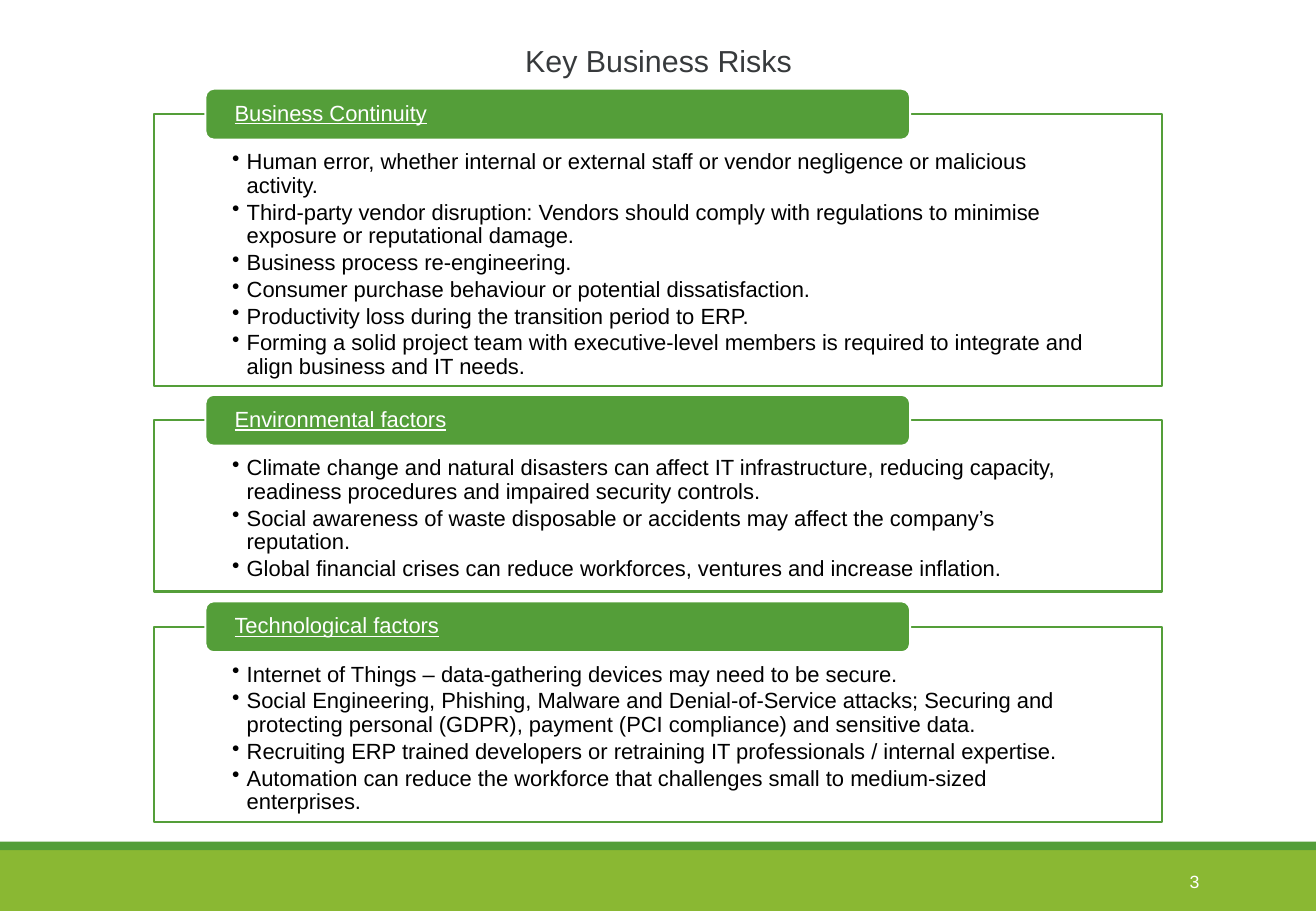
"""Build the Key Business Risks slide."""
from dataclasses import dataclass

from lxml import etree
from pptx import Presentation
from pptx.dml.color import RGBColor
from pptx.enum import shapes, text
from pptx.oxml import ns
from pptx.util import Inches, Pt


@dataclass(frozen=True)
class Theme:
    font: str = "Arial"
    green: str = "549E39"
    lime: str = "8AB833"
    white: str = "FFFFFF"
    black: str = "000000"
    grey: str = "373A3C"
    title: float = 18
    body: float = 13
    number: float = 10.5
    line: float = 1.25


T = Theme()
SHAPE = shapes.MSO_SHAPE
ALIGN = text.PP_ALIGN
ANCHOR = text.MSO_ANCHOR

RISKS = [
    (0.94, 2.24, "Business Continuity", [
        "Human error, whether internal or external staff or vendor negligence or malicious activity.",
        "Third-party vendor disruption: Vendors should comply with regulations to minimise "
        "exposure or reputational damage.",
        "Business process re-engineering.",
        "Consumer purchase behaviour or potential dissatisfaction.",
        "Productivity loss during the transition period to ERP.",
        "Forming a solid project team with executive-level members is required to integrate "
        "and align business and IT needs.",
    ]),
    (3.46, 1.41, "Environmental factors", [
        "Climate change and natural disasters can affect IT infrastructure, reducing capacity, "
        "readiness procedures and impaired security controls.",
        "Social awareness of waste disposable or accidents may affect the company’s reputation.",
        "Global financial crises can reduce workforces, ventures and increase inflation.",
    ]),
    (5.16, 1.61, "Technological factors", [
        "Internet of Things – data-gathering devices may need to be secure.",
        "Social Engineering, Phishing, Malware and Denial-of-Service attacks; Securing and "
        "protecting personal (GDPR), payment (PCI compliance) and sensitive data.",
        "Recruiting ERP trained developers or retraining IT professionals / internal expertise.",
        "Automation can reduce the workforce that challenges small to medium-sized enterprises.",
    ]),
]


def add_bullet(p):
    pPr = p._p.get_or_add_pPr()
    pPr.set("marL", str(Inches(0.12)))
    pPr.set("indent", str(-Inches(0.12)))
    etree.SubElement(pPr, ns.qn("a:buChar")).set("char", "•")


def write(sp, lines, size=T.body, color=T.black, align=ALIGN.LEFT, anchor=ANCHOR.MIDDLE,
          insets=(0.1, 0.05, 0.1, 0.05), underline=None, bullets=False, spacing=None, after=None):
    tf = sp.text_frame
    tf.word_wrap = True
    tf.auto_size = text.MSO_AUTO_SIZE.NONE
    tf.vertical_anchor = anchor
    tf.margin_left, tf.margin_top, tf.margin_right, tf.margin_bottom = map(Inches, insets)
    for i, line in enumerate(lines):
        p = tf.add_paragraph() if i else tf.paragraphs[0]
        p.alignment = align
        p.line_spacing = spacing
        p.space_after = after
        if bullets:
            p.level = 1
            add_bullet(p)
        r = p.add_run()
        r.text = line
        r.font.name = T.font
        r.font.size = Pt(size)
        r.font.underline = underline
        r.font.color.rgb = RGBColor.from_string(color)


def add_box(s, kind, at, fill, line=None, alpha=None):
    sp = s.shapes.add_shape(kind, *map(Inches, at))
    sp.shadow.inherit = False
    sp.fill.solid()
    sp.fill.fore_color.rgb = RGBColor.from_string(fill)
    if alpha:
        clr = sp._element.spPr.find(".//" + ns.qn("a:srgbClr"))
        etree.SubElement(clr, ns.qn("a:alpha")).set("val", str(alpha * 1000))
    if line:
        sp.line.color.rgb = RGBColor.from_string(line)
        sp.line.width = Pt(T.line)
    else:
        sp.line.fill.background()
    return sp


def add_risk(s, top, height, heading, points):
    panel = add_box(s, SHAPE.RECTANGLE, (1.27, top, 8.29, height), T.white, T.green, alpha=90)
    write(panel, points, anchor=ANCHOR.TOP, insets=(0.64, 0.3, 0.64, 0.1),
          bullets=True, spacing=0.9, after=Pt(1.8))
    tab = add_box(s, SHAPE.ROUNDED_RECTANGLE, (1.69, top - 0.21, 5.8, 0.42), T.green, T.white)
    write(tab, [heading], color=T.white, insets=(0.22, 0, 0.22, 0), underline=True, spacing=0.9)


def add_title(s, title):
    sp = s.shapes.title
    sp.left, sp.top, sp.width, sp.height = map(Inches, (2.71, 0.3, 5.42, 0.4))
    write(sp, [title], size=T.title, color=T.grey, align=ALIGN.CENTER)


def add_footer(s, number):
    add_box(s, SHAPE.RECTANGLE, (0, 7, 10.83, 0.5), T.lime)
    add_box(s, SHAPE.RECTANGLE, (0, 6.93, 10.83, 0.07), T.green)
    sp = s.shapes.add_textbox(*map(Inches, (8.8, 7.06, 1.17, 0.4)))
    write(sp, [number], size=T.number, color=T.white, align=ALIGN.RIGHT)


def main():
    prs = Presentation()
    prs.slide_width, prs.slide_height = Inches(10.83), Inches(7.5)
    s = prs.slides.add_slide(prs.slide_layouts[5])
    add_title(s, "Key Business Risks")
    add_footer(s, "3")
    for risk in RISKS:
        add_risk(s, *risk)
    prs.save("out.pptx")


if __name__ == "__main__":
    main()
